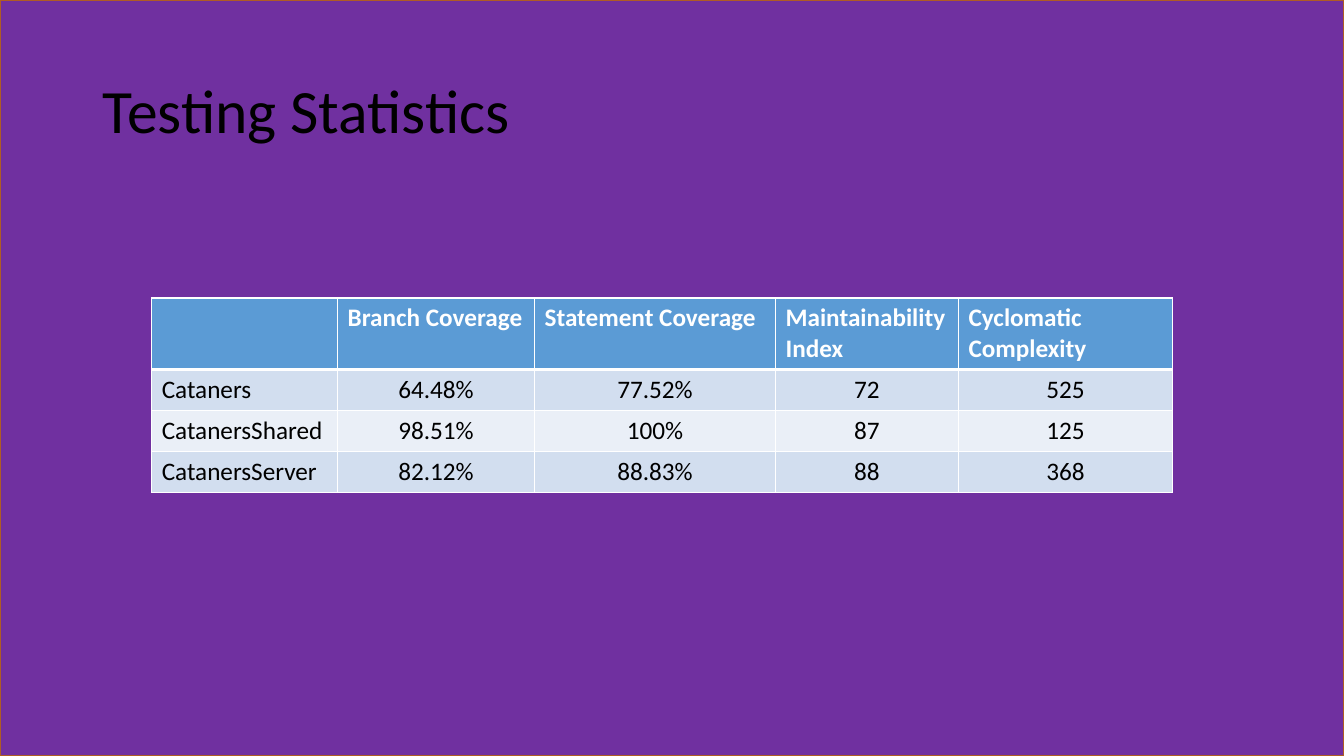
from lxml.etree import SubElement
from pptx import Presentation
from pptx.dml.color import RGBColor
from pptx.enum.shapes import MSO_SHAPE as Shape
from pptx.enum.text import MSO_ANCHOR as Anchor, MSO_AUTO_SIZE as AutoSize, PP_ALIGN as Align
from pptx.oxml.ns import qn
from pptx.util import Pt

PURPLE = RGBColor(0x70, 0x30, 0xA0)
BROWN = RGBColor(0xAF, 0x5C, 0x24)
BLACK = RGBColor(0, 0, 0)
WHITE = RGBColor(0xFF, 0xFF, 0xFF)
HEADER_BLUE = RGBColor(0x5B, 0x9B, 0xD5)
BANDS = (RGBColor(0xD2, 0xDE, 0xEF), RGBColor(0xEA, 0xEF, 0xF7))

WIDTH, HEIGHT = 960, 540
COLUMN_WIDTHS = (132.8, 140.7, 172.1, 130.7, 152.9)
HEADER_HEIGHT, ROW_HEIGHT = 51.2, 29.2
STATISTICS = (
    ("", "Branch Coverage", "Statement Coverage", "Maintainability Index", "Cyclomatic Complexity"),
    ("Cataners", "64.48%", "77.52%", "72", "525"),
    ("CatanersShared", "98.51%", "100%", "87", "125"),
    ("CatanersServer", "82.12%", "88.83%", "88", "368"),
)


def set_all(target, values):
    for name, value in values.items():
        setattr(target, name, value)


def write(frame, text, size, color, align, bold=False):
    para = frame.paragraphs[0]
    para.alignment = align
    if text:
        span = para.add_run()
        span.text = text
        set_all(span.font, {"name": "Calibri", "size": Pt(size), "bold": bold})
        span.font.color.rgb = color
    return para


def add_backdrop(page):
    box = page.shapes.add_shape(Shape.RECTANGLE, 0, 0, Pt(WIDTH), Pt(HEIGHT))
    box.shadow.inherit = False
    box.fill.solid()
    box.fill.fore_color.rgb = PURPLE
    box.line.color.rgb = BROWN
    box.line.width = Pt(1)
    # Send it behind the title
    page.shapes._spTree.insert(2, box._element)


def format_title(page, text):
    title = page.shapes.title
    set_all(title, {"left": Pt(66), "top": Pt(28.8), "width": Pt(828), "height": Pt(104.4)})
    set_all(title.text_frame, {"vertical_anchor": Anchor.MIDDLE, "word_wrap": True,
                               "auto_size": AutoSize.NONE})
    write(title.text_frame, text, 44, BLACK, Align.LEFT).line_spacing = 0.9


def add_borders(cell, bottom):
    properties = cell._tc.get_or_add_tcPr()
    for side, width in (("L", 1), ("R", 1), ("T", 1), ("B", bottom)):
        line = SubElement(properties, qn(f"a:ln{side}"), w=str(Pt(width)))
        fill = SubElement(line, qn("a:solidFill"))
        SubElement(fill, qn("a:srgbClr"), val=str(WHITE))


def add_statistics(page):
    row_heights = [HEADER_HEIGHT] + [ROW_HEIGHT] * (len(STATISTICS) - 1)
    table = page.shapes.add_table(
        len(STATISTICS), len(COLUMN_WIDTHS), Pt(108.4), Pt(212.8),
        Pt(sum(COLUMN_WIDTHS)), Pt(sum(row_heights))).table
    for column, width in zip(table.columns, COLUMN_WIDTHS):
        column.width = Pt(width)
    for row, height in zip(table.rows, row_heights):
        row.height = Pt(height)

    for i, texts in enumerate(STATISTICS):
        header = i == 0
        for j, text in enumerate(texts):
            cell = table.cell(i, j)
            # The header's thick rule is also the top of the first body row
            add_borders(cell, bottom=3 if header else 1)
            if i == 1:
                cell._tc.tcPr.find(qn("a:lnT")).set("w", str(Pt(3)))
            cell.fill.solid()
            cell.fill.fore_color.rgb = HEADER_BLUE if header else BANDS[(i - 1) % 2]
            align = Align.LEFT if header or j == 0 else Align.CENTER
            write(cell.text_frame, text, 18, WHITE if header else BLACK, align, header)


def main():
    deck = Presentation()
    set_all(deck, {"slide_width": Pt(WIDTH), "slide_height": Pt(HEIGHT)})
    page = deck.slides.add_slide(deck.slide_layouts[5])
    add_backdrop(page)
    format_title(page, "Testing Statistics")
    add_statistics(page)
    deck.save("out.pptx")


if __name__ == "__main__":
    main()
